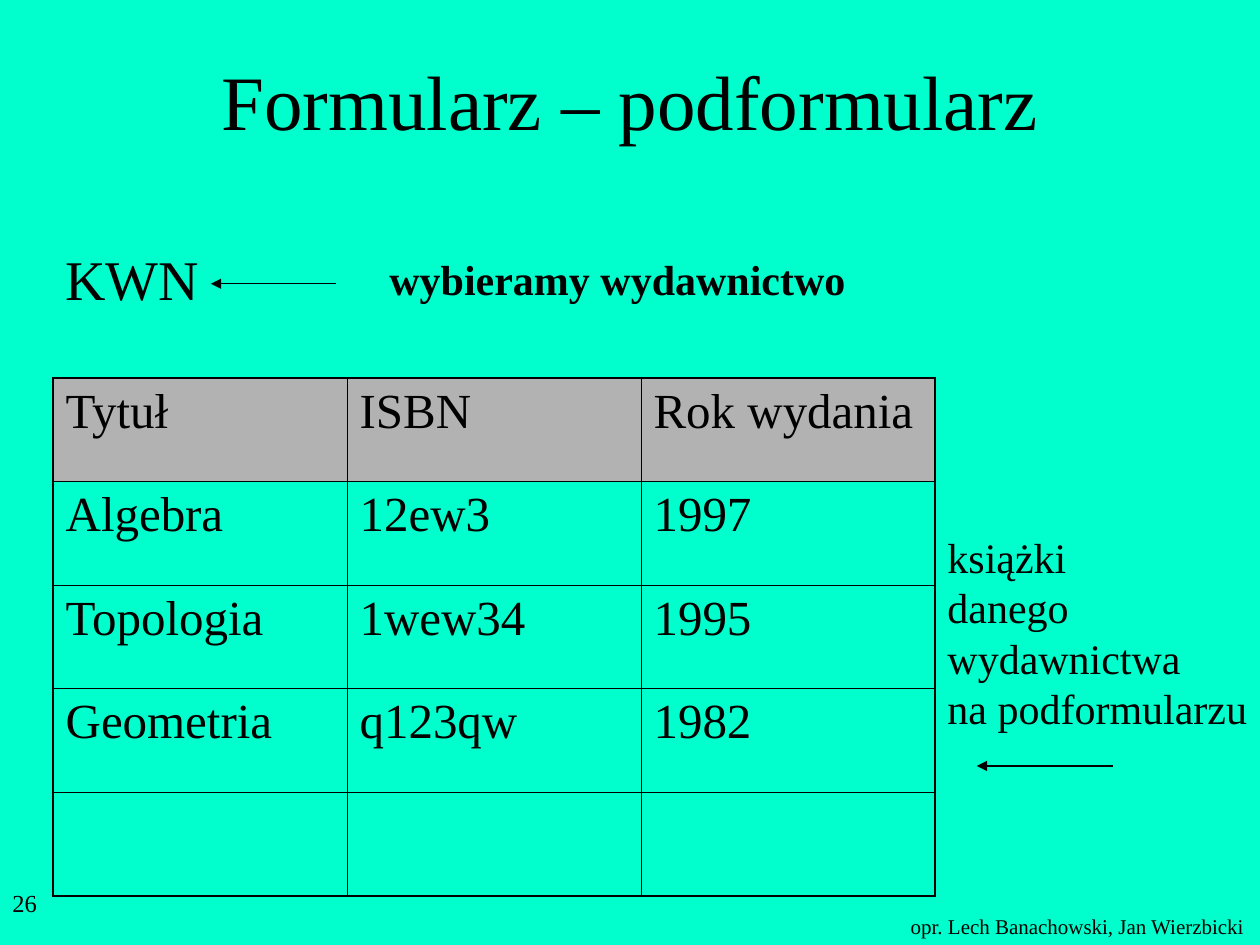
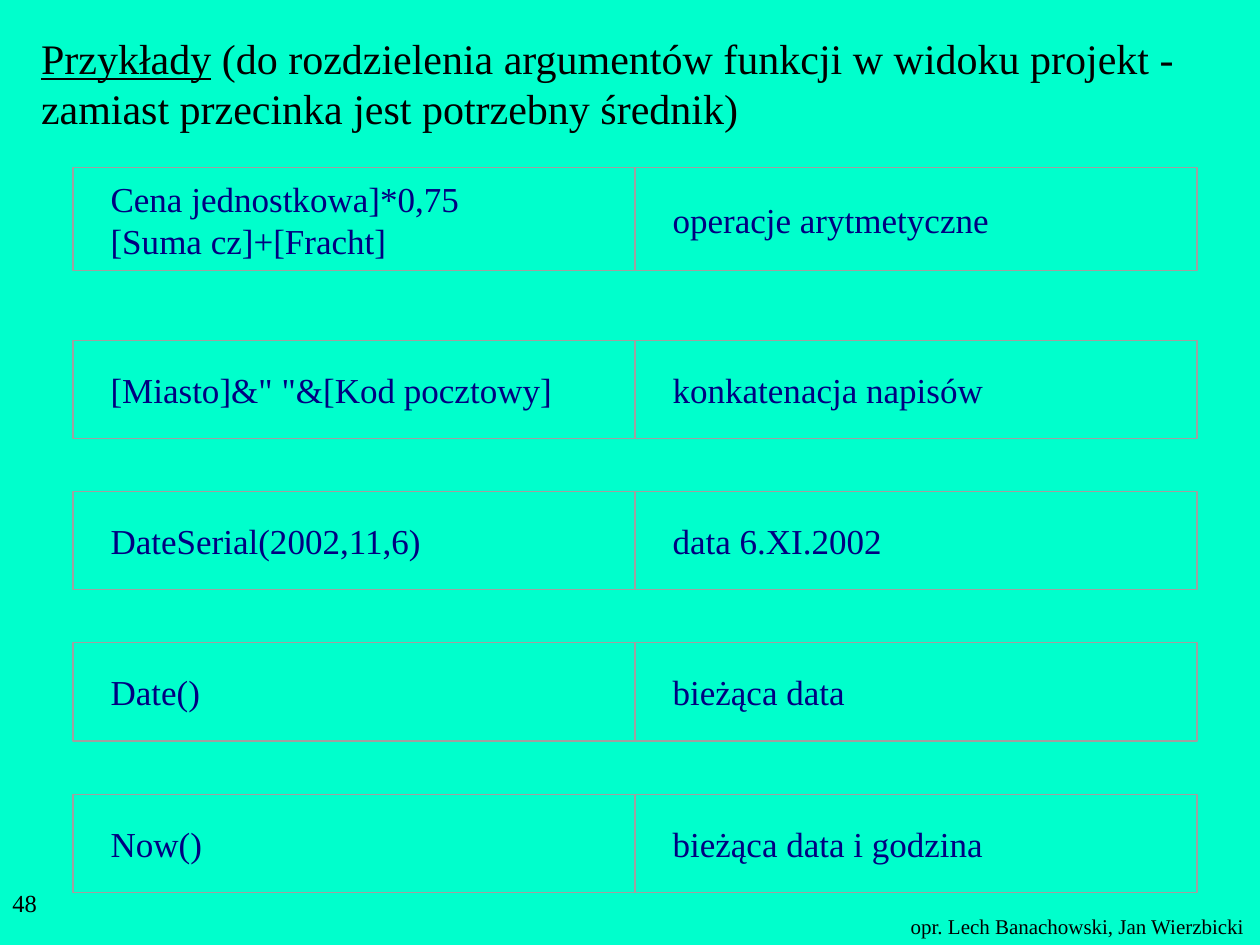
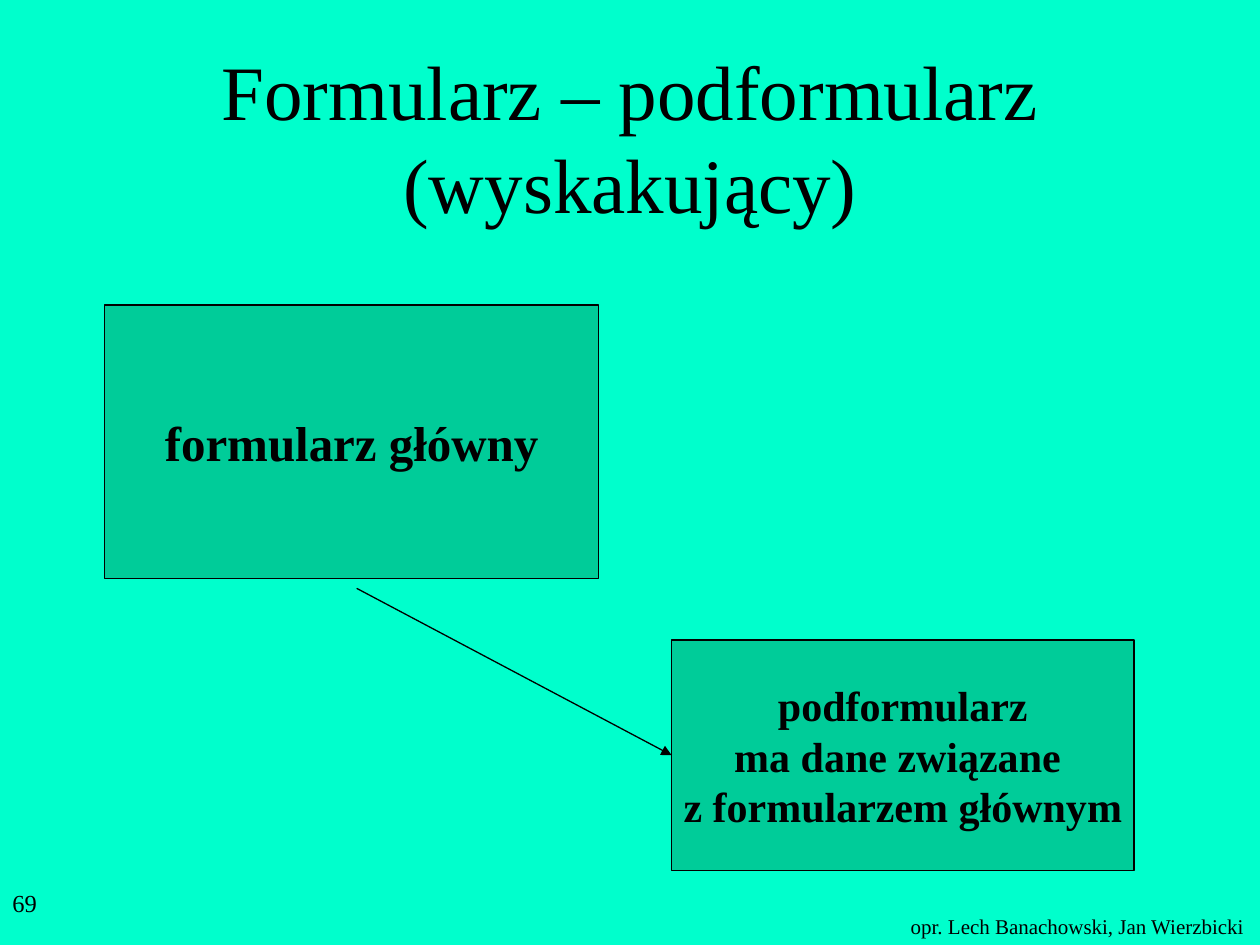
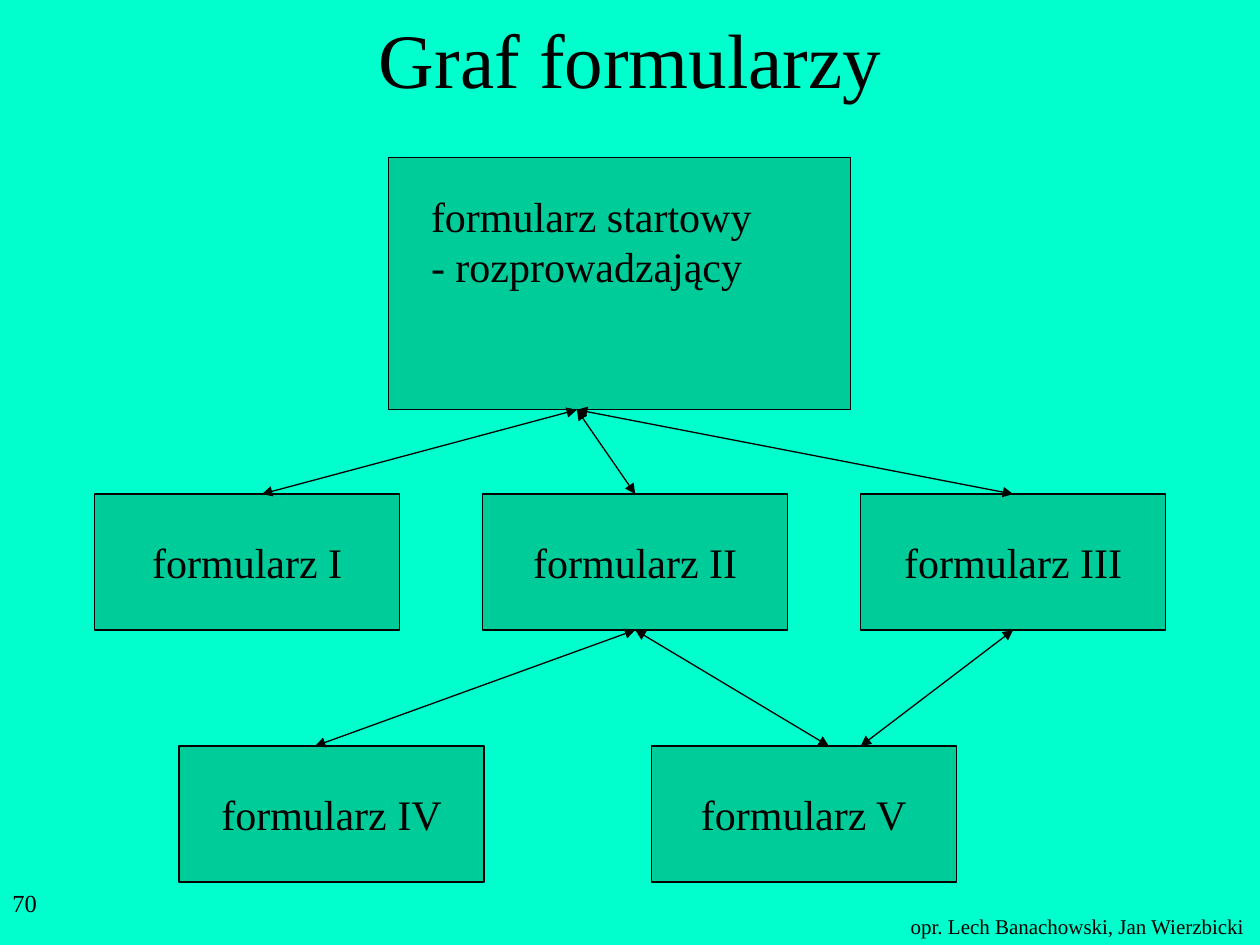
from collections import namedtuple

from lxml import etree
from pptx import Presentation
from pptx import util as u
from pptx.dml.color import RGBColor
from pptx.enum import shapes, text
from pptx.oxml import ns

MINT = RGBColor(0x00, 0xFF, 0xCC)
GREEN = RGBColor(0x00, 0xCC, 0x99)
BLACK = RGBColor(0x00, 0x00, 0x00)
NAVY = RGBColor(0x00, 0x00, 0x80)
SILVER = RGBColor(0xB2, 0xB2, 0xB2)
GRAY = RGBColor(0xA0, 0xA0, 0xA0)

FONT = "Times New Roman"
FOOTER = "opr. Lech Banachowski, Jan Wierzbicki"
PLAIN_TABLE = "{2D5ABB26-0587-4C30-8999-92F81FD0307C}"
TOP, LEFT, BOTTOM = 0, 1, 2

Area = namedtuple("Area", "left top width height")
Spot = namedtuple("Spot", "x y")
Joint = namedtuple("Joint", "box side")

FREE = {"word_wrap": False, "auto_size": text.MSO_AUTO_SIZE.SHAPE_TO_FIT_TEXT}
WRAPPED = {"word_wrap": True}
MIDDLE = {"word_wrap": True, "vertical_anchor": text.MSO_ANCHOR.MIDDLE}
CENTRED = {"word_wrap": False, "vertical_anchor": text.MSO_ANCHOR.MIDDLE}

BOOKS = [
    ("Tytuł", "ISBN", "Rok wydania"),
    ("Algebra", "12ew3", "1997"),
    ("Topologia", "1wew34", "1995"),
    ("Geometria", "q123qw", "1982"),
    ("", "", ""),
]
EXAMPLES = [
    ("Cena jednostkowa]*0,75\n[Suma cz]+[Fracht]", "operacje arytmetyczne"),
    ('[Miasto]&" "&[Kod pocztowy]', "konkatenacja napisów"),
    ("DateSerial(2002,11,6)", "data 6.XI.2002"),
    ("Date()", "bieżąca data"),
    ("Now()", "bieżąca data i godzina"),
]


def apply(target, values):
    """Set every attribute named in a dict of format values."""
    for name, value in values.items():
        setattr(target, name, value)


def cm(*lengths):
    """Turn numbers into centimetre lengths."""
    return [u.Cm(length) for length in lengths]


def inside(area, dx, dy, width, height):
    """Return an area placed relative to the corner of another."""
    return Area(area.left + dx, area.top + dy, width, height)


def write(para, words, size, color=BLACK, **style):
    """Put words into a paragraph and format its spans."""
    para.text = words
    for span in para.runs:
        apply(span.font, {"name": FONT, "size": u.Pt(size), **style})
        span.font.color.rgb = color


def label(page, area, words, size, frame=FREE, color=BLACK, align=None, **style):
    """Add a text box."""
    box = page.shapes.add_textbox(*cm(*area))
    apply(box.text_frame, frame)
    para = box.text_frame.paragraphs[0]
    para.alignment = align
    write(para, words, size, color, **style)
    return box


def panel(page, area, words="", size=24, fill=GREEN, line=BLACK, weight=0.75, **style):
    """Add an outlined rectangle with optional centred words."""
    box = page.shapes.add_shape(shapes.MSO_SHAPE.RECTANGLE, *cm(*area))
    box.shadow.inherit = False
    if fill is None:
        box.fill.background()
    else:
        box.fill.solid()
        box.fill.fore_color.rgb = fill
    box.line.color.rgb = line
    box.line.width = u.Pt(weight)
    if words:
        apply(box.text_frame, CENTRED)
        para = box.text_frame.paragraphs[0]
        para.alignment = text.PP_ALIGN.CENTER
        write(para, words, size, **style)
    return box


def arrow(page, start, end, heads=("tailEnd",)):
    """Draw an arrow between two ends, each a spot or a joint on a box."""
    points = [tip if isinstance(tip, Spot) else Spot(0, 0) for tip in (start, end)]
    link = page.shapes.add_connector(
        shapes.MSO_CONNECTOR.STRAIGHT, *cm(*points[0], *points[1])
    )
    if isinstance(start, Joint):
        link.begin_connect(*start)
    if isinstance(end, Joint):
        link.end_connect(*end)
    link.line.color.rgb = BLACK
    link.line.width = u.Pt(0.75)
    for head in heads:
        etree.SubElement(link.line._get_or_add_ln(), ns.qn(f"a:{head}"), type="triangle")
    etree.SubElement(link._element.spPr, ns.qn("a:effectLst"))


def new_page(deck, number):
    """Add a blank page with its footer and number."""
    page = deck.slides.add_slide(deck.slide_layouts[6])
    label(page, Area(18.11, 18.29, 7.26, 0.76), FOOTER, 12)
    label(page, Area(0, 17.78, 5.28, 1.27), str(number), 14, WRAPPED)
    return page


def title(page, words, top=0.84, height=2.34):
    """Add the centred page title."""
    area = Area(1.91, top, 21.59, height)
    label(page, area, words, 44, MIDDLE, align=text.PP_ALIGN.CENTER)


def border(cell, side, weight):
    """Draw one black border of a table cell."""
    line = etree.SubElement(
        cell._tc.get_or_add_tcPr(), ns.qn(f"a:ln{side}"), w=str(u.Pt(weight))
    )
    fill = etree.SubElement(line, ns.qn("a:solidFill"))
    etree.SubElement(fill, ns.qn("a:srgbClr"), val=str(BLACK))


def publisher_row(page, area):
    """Place the chosen publisher with its arrow and caption."""
    label(page, inside(area, 0, 0, 3.3, 1.63), "KWN", 32)
    label(page, inside(area, 6.53, 0.18, 9.7, 1.27), "wybieramy wydawnictwo", 24, bold=True)
    y = area.top + 0.92
    arrow(page, Spot(area.left + 5.71, y), Spot(area.left + 3.18, y))


def book_table(page, area):
    """Place the table of books."""
    rows, columns = len(BOOKS), len(BOOKS[0])
    table = page.shapes.add_table(rows, columns, *cm(*area)).table
    apply(table, {"first_row": False, "horz_banding": False})
    table._tbl.tblPr.find(ns.qn("a:tableStyleId")).text = PLAIN_TABLE
    for r, book in enumerate(BOOKS):
        for c, words in enumerate(book):
            cell = table.cell(r, c)
            outer = {"L": c == 0, "R": c == columns - 1, "T": r == 0, "B": r == rows - 1}
            for side, is_outer in outer.items():
                border(cell, side, 1.08 if is_outer else 0.45)
            if r == 0:
                cell.fill.solid()
                cell.fill.fore_color.rgb = SILVER
            else:
                cell.fill.background()
            if words:
                write(cell.text_frame.paragraphs[0], words, 28)


def subform_note(page, area):
    """Place the note beside the table and its arrow."""
    label(page, area, "książki\ndanego\nwydawnictwa\nna podformularzu", 24)
    y = area.top + 4.85
    arrow(page, Spot(area.left + 3.58, y), Spot(area.left + 0.84, y))


def examples_heading(page, area):
    """Place the heading with its first word underlined."""
    box = label(page, area, "Przykłady", 24, WRAPPED, underline=True)
    span = box.text_frame.paragraphs[0].add_run()
    span.text = (
        " (do rozdzielenia argumentów funkcji w widoku projekt - "
        "zamiast przecinka jest potrzebny średnik)"
    )
    apply(span.font, {"name": FONT, "size": u.Pt(24), "underline": False})
    span.font.color.rgb = BLACK


def example_grid(page, area):
    """Place the framed pairs of expression and meaning."""
    width = area.width / 2
    for row, pair in enumerate(EXAMPLES):
        top, height = (0.43 + 3.05 * row, 1.98) if row else (0, 2.08)
        for column, words in enumerate(pair):
            frame = inside(area, column * width, top, width, height)
            caption = inside(frame, 0.51, 0.84, width - 1.02, height - 1.68)
            label(page, caption, words, 20, MIDDLE, NAVY)
            panel(page, frame, fill=None, line=GRAY, weight=0)


def popup_diagram(page, area):
    """Place the main form, the pop-up form and their arrow."""
    panel(page, inside(area, 0, 0, 9.96, 5.51), "formularz główny", 28, bold=True)
    popup = panel(
        page,
        inside(area, 11.43, 6.75, 9.32, 4.65),
        "podformularz\nma dane związane \nz formularzem głównym",
        bold=True,
    )
    arrow(page, Spot(area.left + 5.08, area.top + 5.71), Joint(popup, LEFT))


def form_graph(page, area):
    """Place the graph of forms and its two-way arrows."""

    def spot(dx, dy):
        """Return a spot relative to the graph."""
        return Spot(area.left + dx, area.top + dy)

    start = inside(area, 5.92, 0, 9.31, 5.08)
    panel(page, start)
    label(
        page,
        inside(start, 0.61, 0.53, 7.05, 2.29),
        "formularz startowy\n- rozprowadzający",
        24,
    )
    upper, lower = 6.78, 11.86
    places = {
        "I": (0, upper),
        "II": (7.82, upper),
        "III": (15.44, upper),
        "IV": (1.7, lower),
        "V": (11.22, lower),
    }
    forms = {
        name: panel(page, inside(area, *place, 6.15, 2.74), f"formularz {name}")
        for name, place in places.items()
    }
    hub = spot(9.72, 5.08)
    links = [
        (hub, spot(3.37, upper)),
        (hub, Joint(forms["II"], TOP)),
        (hub, Joint(forms["III"], TOP)),
        (Joint(forms["II"], BOTTOM), spot(4.44, lower)),
        (Joint(forms["II"], BOTTOM), spot(14.8, lower)),
        (Joint(forms["III"], BOTTOM), spot(15.44, lower)),
    ]
    for link in links:
        arrow(page, *link, heads=("headEnd", "tailEnd"))


def main():
    """Build the deck and save it."""
    deck = Presentation()
    apply(deck, {"slide_width": u.Cm(25.4), "slide_height": u.Cm(19.05)})
    backdrop = deck.slide_master.background.fill
    backdrop.solid()
    backdrop.fore_color.rgb = MINT

    page = new_page(deck, 26)
    title(page, "Formularz – podformularz")
    publisher_row(page, Area(1.07, 4.8, 16.23, 1.63))
    book_table(page, Area(1.07, 7.62, 17.78, 10.44))
    subform_note(page, Area(18.85, 10.59, 6.55, 4.32))

    page = new_page(deck, 48)
    examples_heading(page, Area(0.58, 0.53, 23.95, 2.29))
    example_grid(page, Area(1.47, 3.38, 22.66, 14.61))

    page = new_page(deck, 69)
    title(page, "Formularz – podformularz (wyskakujący)", height=3.81)
    popup_diagram(page, Area(2.11, 6.15, 20.75, 11.4))

    page = new_page(deck, 70)
    title(page, "Graf formularzy", top=0)
    form_graph(page, Area(1.91, 3.18, 21.59, 14.6))

    deck.save("out.pptx")


if __name__ == "__main__":
    main()
